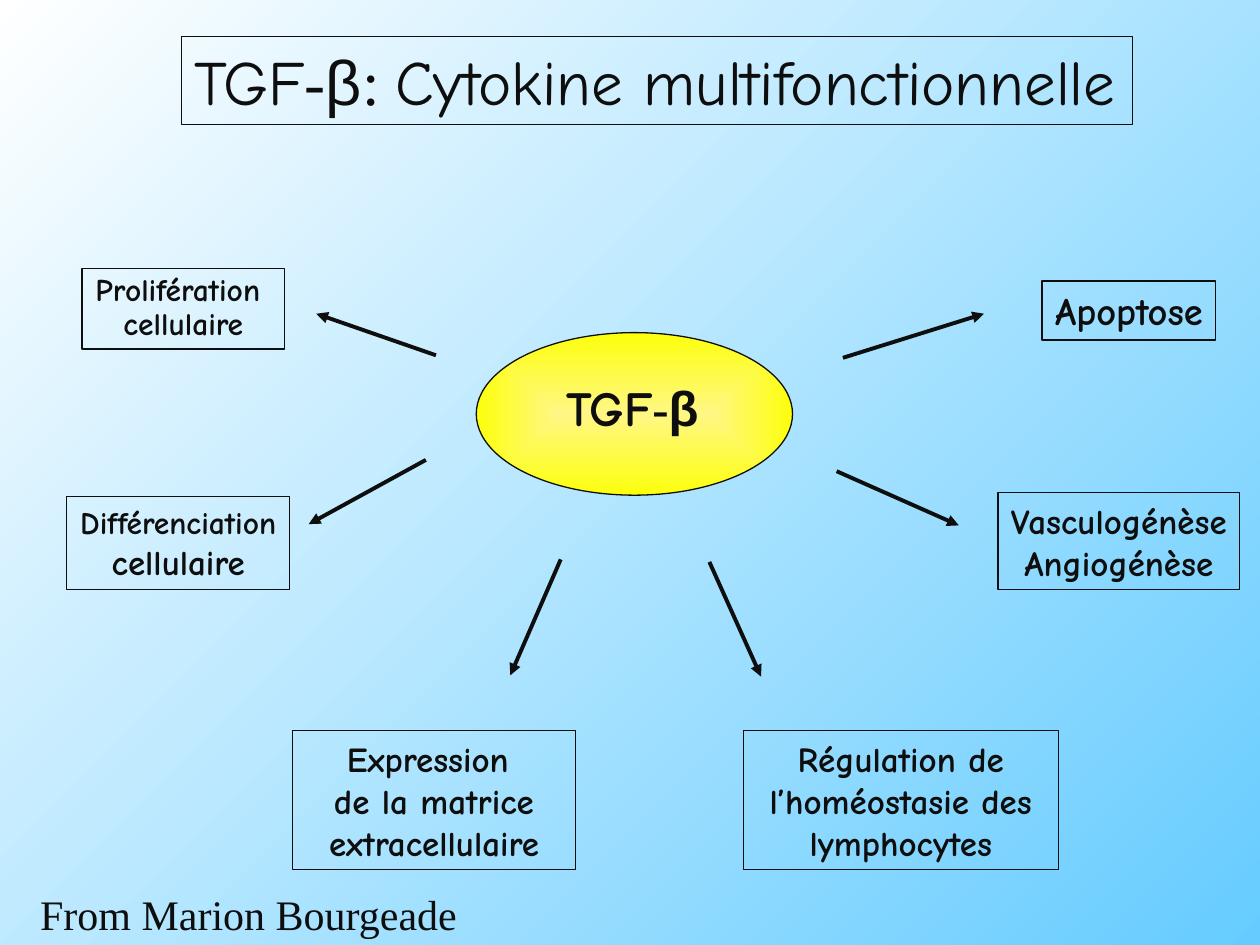
from lxml.etree import SubElement
from pptx import Presentation
from pptx.dml.color import RGBColor
from pptx.enum.shapes import MSO_CONNECTOR, MSO_SHAPE
from pptx.enum.text import MSO_ANCHOR, MSO_AUTO_SIZE, PP_ALIGN
from pptx.oxml.ns import qn
from pptx.util import Inches, Pt

INK = "0E0E0E"
HAND, SERIF, SANS = "Comic Neue", "Times New Roman", "Arial"


def paint(color, value):
    color.rgb = RGBColor.from_string(value)


def write(sp, paragraphs, bold=False, align=PP_ALIGN.LEFT, anchor=MSO_ANCHOR.TOP,
          wrap=False, spacing=None):
    """Fill a shape; each paragraph is (size, [(text, font), ...])."""
    tf = sp.text_frame
    tf.word_wrap = wrap
    tf.auto_size = MSO_AUTO_SIZE.SHAPE_TO_FIT_TEXT
    tf.vertical_anchor = anchor
    for i, (size, runs) in enumerate(paragraphs):
        p = tf.add_paragraph() if i else tf.paragraphs[0]
        p.alignment = align
        p.line_spacing = spacing
        for text, font in runs:
            r = p.add_run()
            r.text = text
            r.font.name, r.font.size, r.font.bold = font, Pt(size), bold
            paint(r.font.color, INK)


prs = Presentation()
prs.slide_width, prs.slide_height = Inches(10), Inches(7.5)
s = prs.slides.add_slide(prs.slide_layouts[5])

# Background: white at top left to blue at bottom right
bg = s.background.fill
bg.gradient()
bg.gradient_angle = 135
for stop, value in zip(bg.gradient_stops, ("66CCFF", "FFFFFF")):
    paint(stop.color, value)

# Title, kept at its own height
title = s.shapes.title
title.left, title.top, title.width, title.height = map(Inches, (1.44, 0.29, 7.55, 0.7))
paint(title.line.color, INK)
title.line.width = Pt(0.75)
write(title, [(36, [("TGF", HAND), ("-", SERIF), ("β", SANS), (": ", SERIF),
                    ("Cytokine multifonctionnelle", HAND)])])
title.text_frame.auto_size = MSO_AUTO_SIZE.NONE

# Central ellipse, lit from its middle
hub = s.shapes.add_shape(MSO_SHAPE.OVAL, *map(Inches, (3.78, 2.64, 2.51, 1.29)))
hub.shadow.inherit = False
paint(hub.line.color, INK)
hub.line.width = Pt(0.75)
hub.fill.gradient()
for stop, value in zip(hub.fill.gradient_stops, ("FFF785", "FDFF0B")):
    paint(stop.color, value)
grad = hub._element.spPr.find(qn("a:gradFill"))
grad.remove(grad.find(qn("a:lin")))
centre = SubElement(grad, qn("a:path"), {"path": "rect"})
SubElement(centre, qn("a:fillToRect"), {side: "50000" for side in "ltrb"})

# Arrows from the centre to each effect
arrows = [
    (3.38, 3.65, 2.45, 4.16), (6.64, 3.74, 7.61, 4.17),
    (3.46, 2.82, 2.51, 2.49), (6.69, 2.84, 7.81, 2.49),
    (4.45, 4.44, 4.05, 5.36), (5.63, 4.46, 6.04, 5.37),
]
for ends in arrows:
    arrow = s.shapes.add_connector(MSO_CONNECTOR.STRAIGHT, *map(Inches, ends))
    paint(arrow.line.color, INK)
    arrow.line.width = Pt(2.25)
    SubElement(arrow.line._get_or_add_ln(), qn("a:tailEnd"), {"type": "triangle"})
    SubElement(arrow._element.spPr, qn("a:effectLst"))

# Effect boxes: place, wrap, line spacing, (size, text) per paragraph
effects = [
    ((0.65, 2.13, 1.61, 0.64), False, 0.9, [(18, "Prolifération "), (18, "cellulaire")]),
    ((0.53, 3.94, 1.77, 0.74), False, None, [(18, "Différenciation"), (20, "cellulaire")]),
    ((2.32, 5.8, 2.25, 1.1), True, None,
     [(20, "Expression "), (20, "de la matrice extracellulaire")]),
    ((5.9, 5.8, 2.5, 1.1), True, None,
     [(20, "Régulation de l’homéostasie des lymphocytes")]),
    ((7.92, 3.91, 1.92, 0.77), False, None, [(20, "Vasculogénèse"), (20, "Angiogénèse")]),
    ((8.27, 2.23, 1.38, 0.47), False, None, [(22, "Apoptose")]),
]
for place, wrap, spacing, lines in effects:
    box = s.shapes.add_shape(MSO_SHAPE.RECTANGLE, *map(Inches, place))
    box.shadow.inherit = False
    box.fill.background()
    paint(box.line.color, INK)
    box.line.width = Pt(0.75)
    write(box, [(size, [(text, HAND)]) for size, text in lines], bold=True,
          align=PP_ALIGN.CENTER, anchor=MSO_ANCHOR.MIDDLE, wrap=wrap, spacing=spacing)

# Ellipse label, wide enough for one line, and credit line
label = s.shapes.add_textbox(*map(Inches, (4.4, 2.95, 1.28, 0.57)))
write(label, [(28, [("TGF", HAND), ("-", SERIF), ("β", SANS)])], bold=True)
credit = s.shapes.add_textbox(*map(Inches, (0.22, 7, 3.51, 0.5)))
write(credit, [(24, [("From Marion Bourgeade", SERIF)])])

prs.save("out.pptx")
